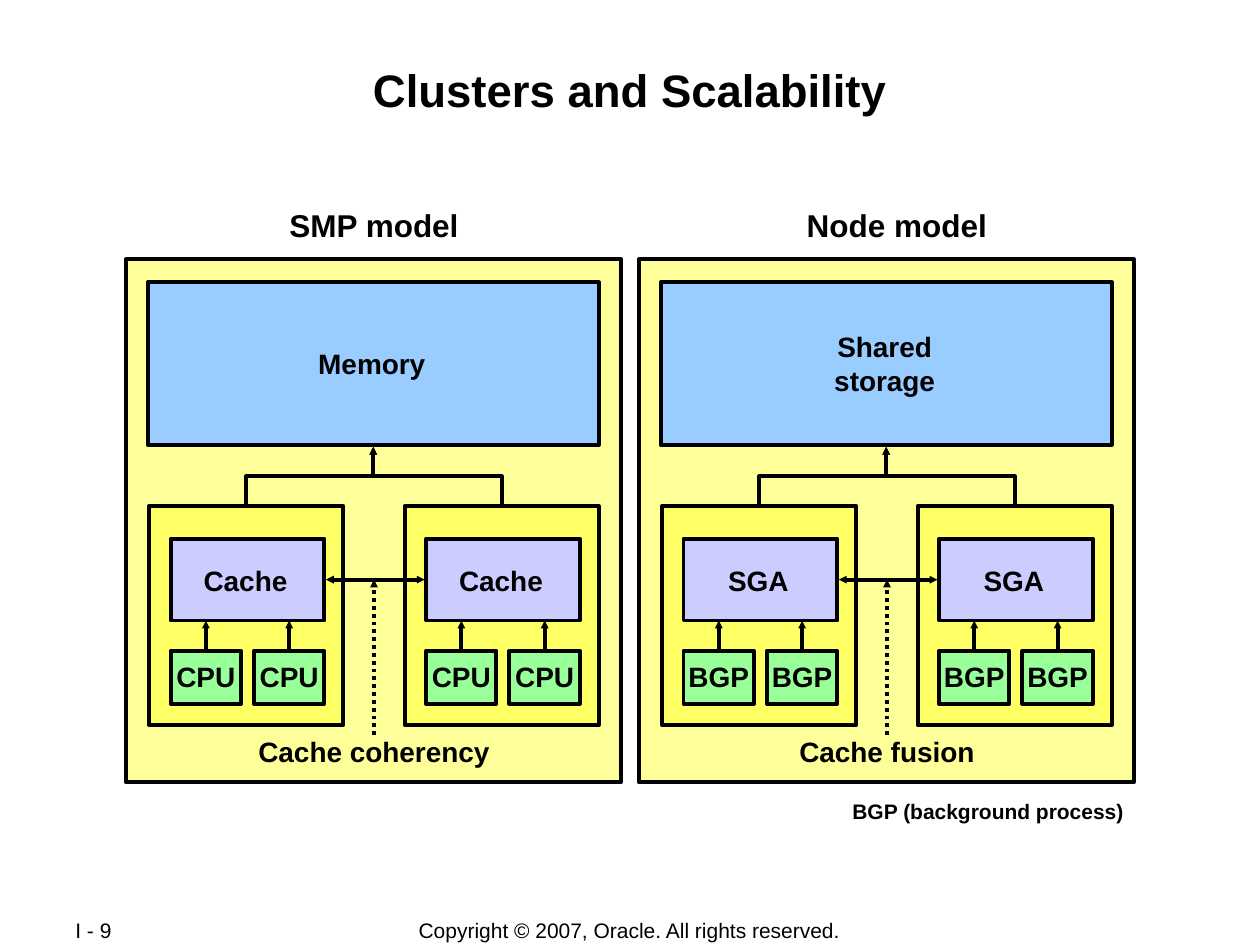
from dataclasses import dataclass

from lxml.etree import SubElement
from pptx import Presentation
from pptx.dml.color import RGBColor
from pptx.enum.dml import MSO_LINE
from pptx.enum.shapes import MSO_CONNECTOR, MSO_SHAPE
from pptx.enum.text import MSO_ANCHOR, PP_ALIGN
from pptx.oxml.ns import qn
from pptx.shapes.connector import Connector
from pptx.slide import Slide
from pptx.text.text import TextFrame
from pptx.util import Cm, Pt


@dataclass(frozen=True)
class Theme:
    font: str = "Arial"
    ink: str = "000000"
    panel: str = "FFFF99"
    storage: str = "99CCFF"
    node: str = "FFFF66"
    cache: str = "CCCCFF"
    process: str = "99FF99"
    title_size: float = 26
    heading_size: float = 18
    label_size: float = 16
    small_size: float = 12
    line_width: float = 2.25


@dataclass(frozen=True)
class Box:
    """A rectangle measured in centimetres."""
    left: float
    top: float
    width: float
    height: float

    @property
    def right(self) -> float:
        return self.left + self.width

    @property
    def bottom(self) -> float:
        return self.top + self.height

    @property
    def center(self) -> float:
        return self.left + self.width / 2

    @property
    def middle(self) -> float:
        return self.top + self.height / 2

    def lengths(self) -> tuple[Cm, Cm, Cm, Cm]:
        return Cm(self.left), Cm(self.top), Cm(self.width), Cm(self.height)


@dataclass(frozen=True)
class Model:
    heading: str
    storage: str
    cache: str
    process: str
    link: str
    left: float
    heading_center: float
    link_width: float


THEME = Theme()
MODELS = [
    Model("SMP model", "Memory", "Cache", "CPU", "Cache coherency", 2.54, 7.54, 5.6),
    Model("Node model", "Shared\vstorage", "SGA", "BGP", "Cache fusion", 12.88, 18.08, 4.4),
]
NODE_PITCH = 5.15
PROCESS_PITCH = 1.68
LABEL_HEIGHT = 0.94


def write_text(frame: TextFrame, text: str, size: float, bold: bool = True,
               align: PP_ALIGN = PP_ALIGN.CENTER) -> None:
    frame.text = text
    paragraph = frame.paragraphs[0]
    paragraph.alignment = align
    settings = {"name": THEME.font, "size": Pt(size), "bold": bold}
    for name, value in settings.items():
        setattr(paragraph.font, name, value)
    paragraph.font.color.rgb = RGBColor.from_string(THEME.ink)


def add_text(slide: Slide, box: Box, text: str, size: float = THEME.label_size,
             bold: bool = True, align: PP_ALIGN = PP_ALIGN.CENTER,
             wrap: bool = False) -> None:
    frame = slide.shapes.add_textbox(*box.lengths()).text_frame
    frame.word_wrap = wrap
    frame.vertical_anchor = MSO_ANCHOR.MIDDLE
    write_text(frame, text, size, bold, align)


def add_box(slide: Slide, box: Box, fill: str) -> None:
    shape = slide.shapes.add_shape(MSO_SHAPE.RECTANGLE, *box.lengths())
    shape.shadow.inherit = False
    shape.fill.solid()
    shape.fill.fore_color.rgb = RGBColor.from_string(fill)
    shape.line.color.rgb = RGBColor.from_string(THEME.ink)
    shape.line.width = Pt(THEME.line_width)


def add_arrow(slide: Slide, start: tuple[float, float], end: tuple[float, float],
              kind: MSO_CONNECTOR = MSO_CONNECTOR.STRAIGHT,
              dotted: bool = False, both_ends: bool = False) -> Connector:
    connector = slide.shapes.add_connector(kind, *map(Cm, start + end))
    connector.line.color.rgb = RGBColor.from_string(THEME.ink)
    connector.line.width = Pt(THEME.line_width)
    if dotted:
        connector.line.dash_style = MSO_LINE.ROUND_DOT
    line = connector.line._get_or_add_ln()
    for tag in ["a:headEnd", "a:tailEnd"] if both_ends else ["a:tailEnd"]:
        SubElement(line, qn(tag), type="triangle", w="sm", len="sm")
    SubElement(connector._element.spPr, qn("a:effectLst"))
    return connector


def add_riser(slide: Slide, start: tuple[float, float], end: tuple[float, float]) -> None:
    """Elbow arrow that leaves and arrives vertically: a quarter-turned connector."""
    run, rise = end[0] - start[0], start[1] - end[1]
    center, middle = (start[0] + end[0]) / 2, (start[1] + end[1]) / 2
    side = 1 if run > 0 else -1
    half_width, half_height = side * rise / 2, abs(run) / 2
    connector = add_arrow(slide, (center + half_width, middle + half_height),
                          (center - half_width, middle - half_height), MSO_CONNECTOR.ELBOW)
    degrees = 90 if side > 0 else 270
    connector._element.spPr.find(qn("a:xfrm")).set("rot", str(degrees * 60000))


def draw_node(slide: Slide, node: Box, model: Model) -> Box:
    """Draw one node with its cache and two processes; return the cache box."""
    cache = Box(node.left + 0.43, node.top + 0.66, 3.1, 1.65)
    add_box(slide, node, THEME.node)
    add_box(slide, cache, THEME.cache)
    add_text(slide, Box(cache.left - 0.04, cache.top + 0.37, cache.width, LABEL_HEIGHT),
             model.cache)
    for index in range(2):
        process = Box(cache.left + index * PROCESS_PITCH, node.top + 2.92, 1.42, 1.07)
        add_box(slide, process, THEME.process)
        add_arrow(slide, (process.center, process.top), (process.center, cache.bottom))
        add_text(slide, Box(process.left - 0.15, process.top + 0.05, 1.72, LABEL_HEIGHT),
                 model.process)
    return cache


def draw_model(slide: Slide, model: Model) -> None:
    # Panel, heading and storage
    panel = Box(model.left, 5.23, 9.98, 10.54)
    storage = Box(panel.left + 0.44, 5.69, 9.09, 3.28)
    add_box(slide, panel, THEME.panel)
    add_text(slide, Box(model.heading_center - 2.4, 4.03, 4.8, 1.02),
             model.heading, THEME.heading_size)
    add_box(slide, storage, THEME.storage)
    add_text(slide, Box(storage.center - 1.38, storage.middle - 0.82, 2.7, 1.63),
             model.storage)

    # Two nodes, each with an arrow up to the storage
    caches = []
    for index in range(2):
        node = Box(panel.left + 0.47 + index * NODE_PITCH, 10.2, 3.91, 4.42)
        caches.append(draw_node(slide, node, model))
        add_riser(slide, (node.center, node.top),
                  (storage.center, storage.bottom + 0.04))

    # Link between the caches and its label
    first, second = caches
    center = panel.left + 5
    add_arrow(slide, (first.right + 0.03, first.middle),
              (second.left - 0.03, second.middle), both_ends=True)
    add_text(slide, Box(center - model.link_width / 2, 14.67, model.link_width, LABEL_HEIGHT),
             model.link)
    add_arrow(slide, (center, 14.82), (center, first.middle), dotted=True)


def main() -> None:
    presentation = Presentation()
    presentation.slide_width, presentation.slide_height = Cm(25.4), Cm(19.05)
    slide = presentation.slides.add_slide(presentation.slide_layouts[5])

    # Title
    title = slide.shapes.title
    title.left, title.top, title.width, title.height = Box(1.7, 1.22, 22, 2.44).lengths()
    for side in ("left", "top", "right", "bottom"):
        setattr(title.text_frame, f"margin_{side}", Cm(0.03))
    title.text_frame.vertical_anchor = MSO_ANCHOR.TOP
    write_text(title.text_frame, "Clusters and Scalability", THEME.title_size)

    # Both models and the abbreviation
    for model in MODELS:
        draw_model(slide, model)
    add_text(slide, Box(16.82, 15.97, 6.2, 0.76), "BGP (background process)", THEME.small_size)

    # Footer
    add_text(slide, Box(6.99, 18.49, 11.4, 0.53),
             "Copyright © 2007, Oracle. All rights reserved.", THEME.small_size, bold=False)
    add_text(slide, Box(1.27, 18.49, 2.69, 0.51), "I - 9", THEME.small_size,
             bold=False, align=PP_ALIGN.LEFT, wrap=True)

    presentation.save("out.pptx")


if __name__ == "__main__":
    main()
